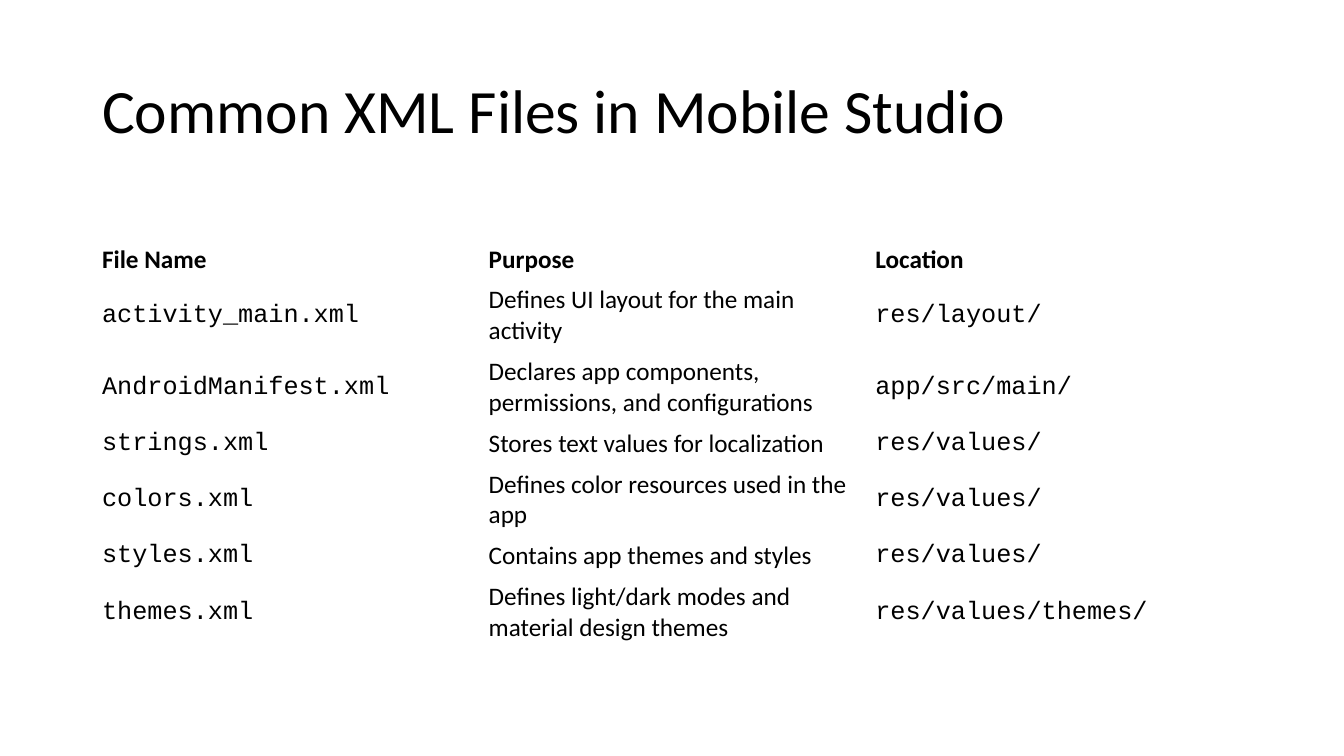
import pptx
import pptx.dml.color
import pptx.enum.text
import pptx.util

TITLE = "Common XML Files in Mobile Studio"
HEADER = ("File Name", "Purpose", "Location")
# file name, purpose, location, lines the purpose takes
FILES = [
    ("activity_main.xml", "Defines UI layout for the main activity", "res/layout/", 2),
    ("AndroidManifest.xml", "Declares app components, permissions, and configurations",
     "app/src/main/", 2),
    ("strings.xml", "Stores text values for localization", "res/values/", 1),
    ("colors.xml", "Defines color resources used in the app", "res/values/", 2),
    ("styles.xml", "Contains app themes and styles", "res/values/", 1),
    ("themes.xml", "Defines light/dark modes and material design themes",
     "res/values/themes/", 2),
]

BLACK = "000000"
TITLE_FORMAT = {"name": "Calibri", "size": pptx.util.Pt(44), "bold": False}
HEADER_FORMAT = {"name": "Calibri", "size": pptx.util.Pt(18), "bold": True}
BODY_FORMAT = {**HEADER_FORMAT, "bold": False}
CODE_FORMAT = {**BODY_FORMAT, "name": "Courier New"}
ROW_FORMATS = (CODE_FORMAT, BODY_FORMAT, CODE_FORMAT)

PIXELS_PER_INCH = 100.8
SLIDE_SIZE = (1344, 756)
LEFT, WIDTH = 92, 1160
TITLE_TOP, TITLE_HEIGHT = 41, 146
TABLE_TOP = 239
LINE_HEIGHT, ROW_PADDING = 30, 10


def px(length):
    return pptx.util.Inches(length / PIXELS_PER_INCH)


def set_color(target, color):
    target.rgb = pptx.dml.color.RGBColor.from_string(color)


def write(text_frame, text, font_format):
    text_frame.text = text
    font = text_frame.paragraphs[0].runs[0].font
    for attribute, value in font_format.items():
        setattr(font, attribute, value)
    set_color(font.color, BLACK)


def add_title(slide):
    title = slide.shapes.title
    title.left, title.top = px(LEFT), px(TITLE_TOP)
    title.width, title.height = px(WIDTH), px(TITLE_HEIGHT)
    write(title.text_frame, TITLE, TITLE_FORMAT)
    title.text_frame.auto_size = pptx.enum.text.MSO_AUTO_SIZE.NONE
    title.text_frame.vertical_anchor = pptx.enum.text.MSO_ANCHOR.MIDDLE
    paragraph = title.text_frame.paragraphs[0]
    paragraph.alignment = pptx.enum.text.PP_ALIGN.LEFT
    paragraph.line_spacing = 0.9


def add_file_table(slide):
    rows = [(HEADER, (HEADER_FORMAT,) * len(HEADER), 1)]
    rows += [(texts, ROW_FORMATS, lines) for *texts, lines in FILES]
    heights = [lines * LINE_HEIGHT + ROW_PADDING for _, _, lines in rows]
    table = slide.shapes.add_table(
        len(rows), len(HEADER), px(LEFT), px(TABLE_TOP), px(WIDTH), px(sum(heights))
    ).table
    table.first_row = table.horz_banding = False
    for row, height, (texts, formats, _) in zip(table.rows, heights, rows):
        row.height = px(height)
        for cell, text, font_format in zip(row.cells, texts, formats):
            cell.fill.background()
            cell.vertical_anchor = pptx.enum.text.MSO_ANCHOR.MIDDLE
            write(cell.text_frame, text, font_format)


def main():
    presentation = pptx.Presentation()
    presentation.slide_width, presentation.slide_height = map(px, SLIDE_SIZE)
    slide = presentation.slides.add_slide(presentation.slide_layouts.get_by_name("Title Only"))
    add_title(slide)
    add_file_table(slide)
    presentation.save("out.pptx")


if __name__ == "__main__":
    main()
